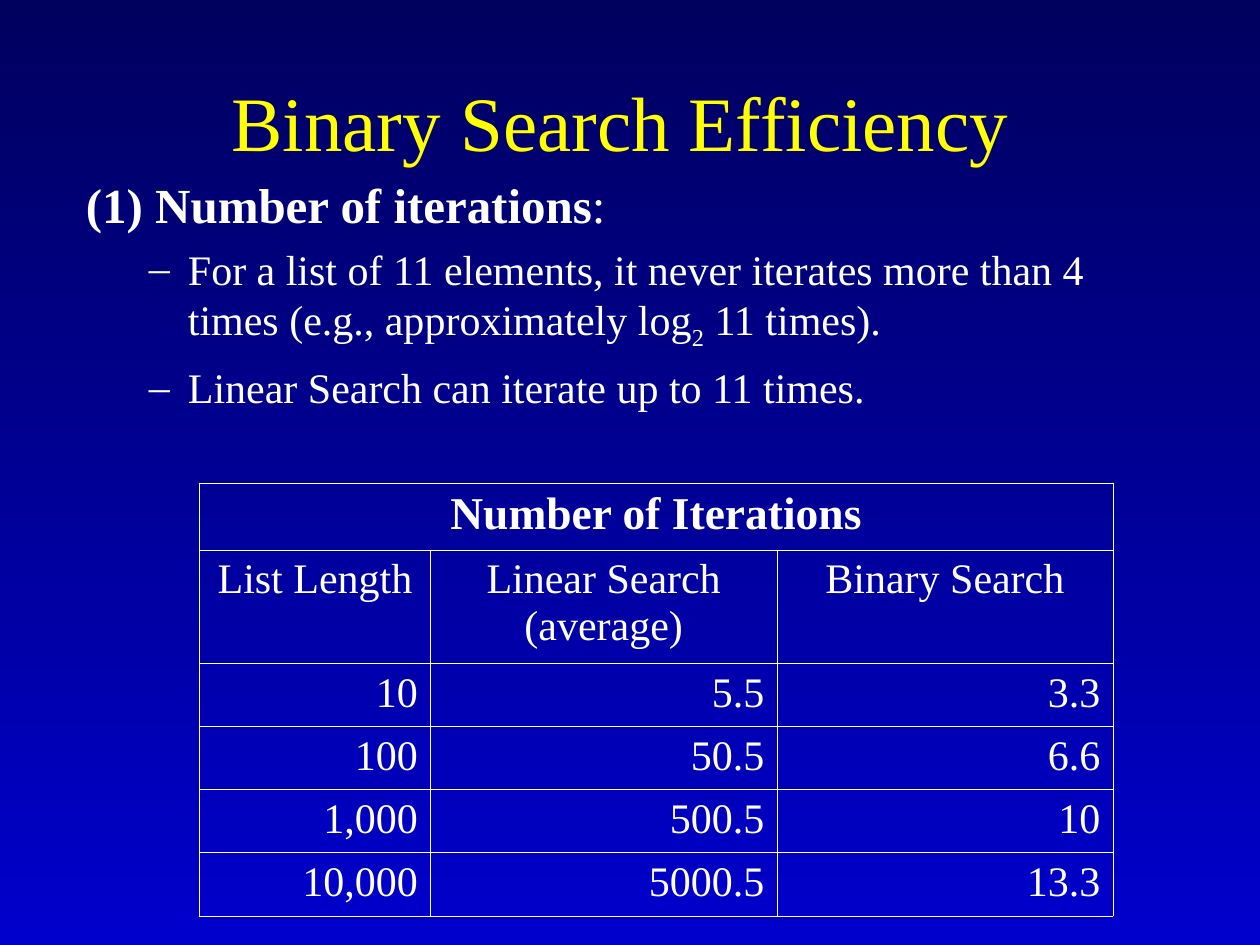
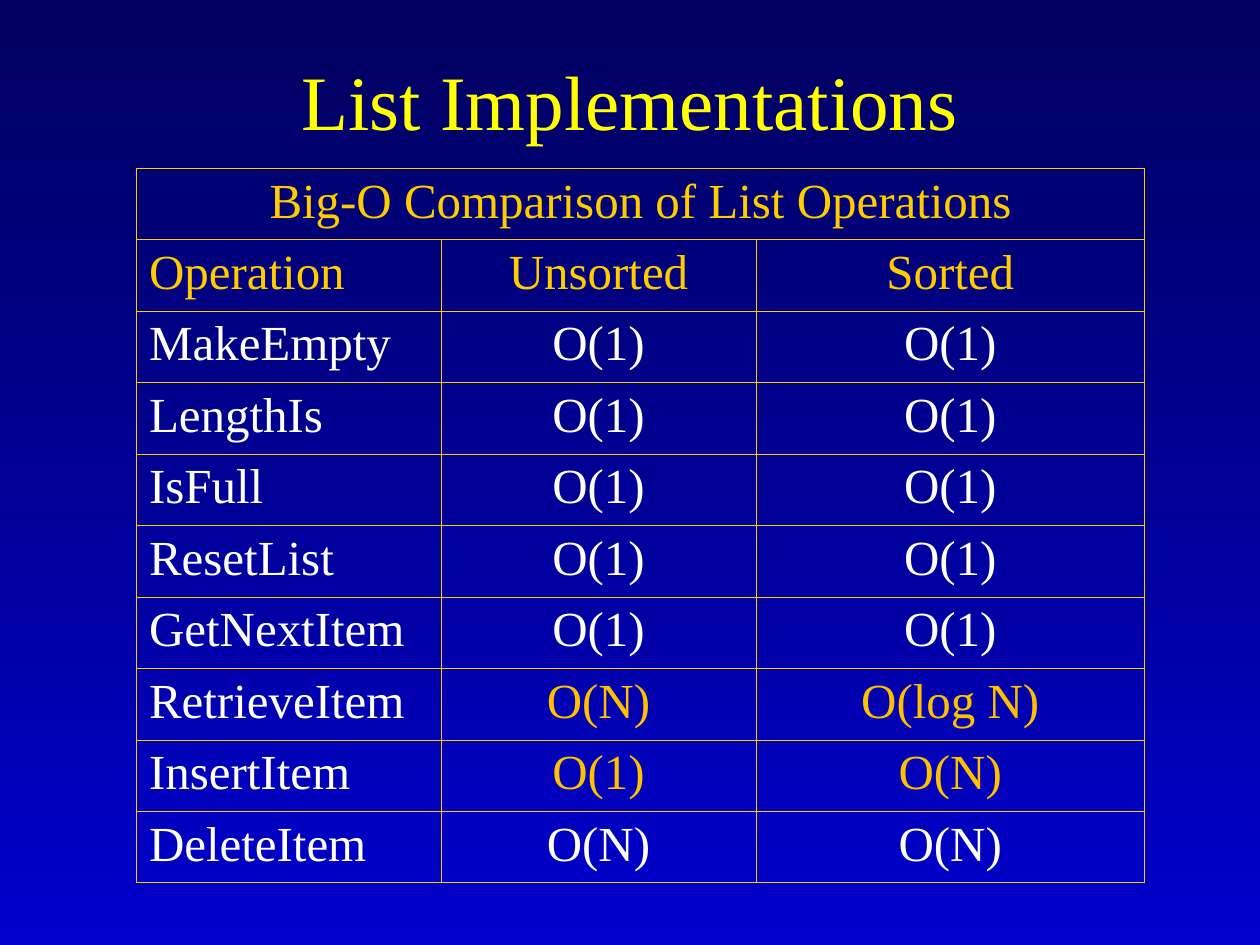
import dataclasses
import typing

import pptx
import pptx.dml.color
import pptx.enum.text
import pptx.oxml.ns
import pptx.util
from lxml import etree

ALIGN = pptx.enum.text.PP_ALIGN
MIDDLE = pptx.enum.text.MSO_ANCHOR.MIDDLE
TOP = pptx.enum.text.MSO_ANCHOR.TOP

SLIDE_WIDTH = pptx.util.Inches(10)
SLIDE_HEIGHT = pptx.util.Inches(7.5)
GRID_COLUMNS, GRID_ROWS = 120, 90

FONT = "Times New Roman"
NIGHT, ROYAL = "00005E", "0000CC"
WHITE, YELLOW, GOLD, AMBER = "FFFFFF", "FFFF00", "FFCC00", "FFC000"
BORDER_WIDTH = pptx.util.Pt(0.45)


@dataclasses.dataclass(frozen=True)
class Area:
    column: float
    row: float
    columns: float
    rows: float

    def lengths(self) -> tuple[int, int, int, int]:
        return across(self.column), down(self.row), across(self.columns), down(self.rows)


@dataclasses.dataclass(frozen=True)
class Run:
    text: str
    bold: bool = False
    baseline: int = 0


@dataclasses.dataclass(frozen=True)
class Point:
    runs: tuple[Run, ...]
    size: float = 24
    dashed: bool = True
    before: float = 6


@dataclasses.dataclass(frozen=True)
class Cell:
    text: str
    align: ALIGN = ALIGN.CENTER
    size: float = 24
    color: str = WHITE
    bold: bool = False


@dataclasses.dataclass(frozen=True)
class Grid:
    column: float
    row: float
    widths: tuple[float, ...]
    heights: tuple[float, ...]
    border: str
    heading: Cell
    body: list[list[Cell]]


def across(columns: float) -> int:
    return round(SLIDE_WIDTH * columns / GRID_COLUMNS)


def down(rows: float) -> int:
    return round(SLIDE_HEIGHT * rows / GRID_ROWS)


def rgb(value: str) -> pptx.dml.color.RGBColor:
    return pptx.dml.color.RGBColor.from_string(value)


def add_element(parent: typing.Any, tag: str, **attributes: str) -> typing.Any:
    return etree.SubElement(parent, pptx.oxml.ns.qn(tag), attributes)


def write(paragraph: typing.Any, text: str, *, size: float, color: str = WHITE,
          bold: bool = False, baseline: int = 0, align: ALIGN = ALIGN.LEFT) -> None:
    paragraph.alignment = align
    run = paragraph.add_run()
    run.text = text
    run.font.name = FONT
    run.font.size = pptx.util.Pt(size)
    run.font.bold = bold
    run.font.color.rgb = rgb(color)
    if baseline:
        run.font._element.set("baseline", str(baseline * 1000))


def add_frame(slide: typing.Any, area: Area, anchor: typing.Any) -> typing.Any:
    frame = slide.shapes.add_textbox(*area.lengths()).text_frame
    frame.word_wrap = True
    frame.vertical_anchor = anchor
    return frame


def add_title(slide: typing.Any, text: str, area: Area) -> None:
    frame = add_frame(slide, area, MIDDLE)
    write(frame.paragraphs[0], text, size=44, color=YELLOW, align=ALIGN.CENTER)


def indent(paragraph: typing.Any, left: float, hanging: float, dashed: bool) -> None:
    properties = paragraph._p.get_or_add_pPr()
    properties.set("marL", str(pptx.util.Inches(left)))
    properties.set("indent", str(-pptx.util.Inches(hanging)))
    if dashed:
        paragraph.level = 1
        add_element(add_element(properties, "a:buClr"), "a:srgbClr", val=WHITE)
        add_element(properties, "a:buFont", typeface=FONT)
        add_element(properties, "a:buChar", char="–")


def add_points(slide: typing.Any, area: Area, points: list[Point]) -> None:
    frame = add_frame(slide, area, TOP)
    for index, point in enumerate(points):
        paragraph = frame.add_paragraph() if index else frame.paragraphs[0]
        if point.dashed:
            indent(paragraph, 0.81, 0.31, True)
        else:
            indent(paragraph, 0.38, 0.38, False)
        if index:
            paragraph.space_before = pptx.util.Pt(point.before)
        for run in point.runs:
            write(paragraph, run.text, size=point.size, bold=run.bold, baseline=run.baseline)


def outline(cell: typing.Any, color: str) -> None:
    properties = cell._tc.get_or_add_tcPr()
    for side in ("a:lnL", "a:lnR", "a:lnT", "a:lnB"):
        line = add_element(properties, side, w=str(BORDER_WIDTH))
        add_element(add_element(line, "a:solidFill"), "a:srgbClr", val=color)
    cell.fill.background()


def add_grid(slide: typing.Any, grid: Grid) -> None:
    area = Area(grid.column, grid.row, sum(grid.widths), sum(grid.heights))
    table = slide.shapes.add_table(
        len(grid.heights), len(grid.widths), *area.lengths()).table
    table.first_row = table.horz_banding = False
    for column, width in zip(table.columns, grid.widths):
        column.width = across(width)
    for row, height in zip(table.rows, grid.heights):
        row.height = down(height)
    for cell in table.iter_cells():
        outline(cell, grid.border)
    table.cell(0, 0).merge(table.cell(0, len(grid.widths) - 1))
    for row_index, entries in enumerate([[grid.heading], *grid.body]):
        for column_index, entry in enumerate(entries):
            paragraph = table.cell(row_index, column_index).text_frame.paragraphs[0]
            write(paragraph, entry.text, size=entry.size, color=entry.color,
                  bold=entry.bold, align=entry.align)


def operation_row(operation: str, unsorted: str, ordered: str,
                  name_color: str = WHITE, cost_color: str = WHITE) -> list[Cell]:
    return [Cell(operation, ALIGN.LEFT, 28, name_color),
            Cell(unsorted, size=28, color=cost_color),
            Cell(ordered, size=28, color=cost_color)]


def build_efficiency(slide: typing.Any) -> None:
    add_title(slide, "Binary Search Efficiency ", Area(9, 8, 102, 7))
    add_points(slide, Area(7, 16, 106, 32), [
        Point((Run("(1) Number of iterations", bold=True), Run(":")), size=28, dashed=False),
        Point((Run("For a list of 11 elements, it never iterates more than 4 times "
                   "(e.g., approximately log"),
               Run("2", baseline=-25), Run(" 11 times)."))),
        Point((Run("Linear Search can iterate up to 11 times."),)),
    ])
    labels = ["List Length", "Linear Search (average)", "Binary Search"]
    counts = [
        ("10", "5.5", "3.3"),
        ("100", "50.5", "6.6"),
        ("1,000", "500.5", "10"),
        ("10,000", "5000.5", "13.3"),
    ]
    add_grid(slide, Grid(
        19, 46, (22, 33, 32), (6.4, 10.8) + (6,) * len(counts), WHITE,
        Cell("Number of Iterations", size=26, bold=True),
        [[Cell(label) for label in labels]]
        + [[Cell(count, ALIGN.RIGHT) for count in row] for row in counts]))


def build_implementations(slide: typing.Any) -> None:
    add_title(slide, "List Implementations", Area(9, 5, 102, 9))
    constant_time = ["MakeEmpty", "LengthIs", "IsFull", "ResetList", "GetNextItem"]
    body = [
        operation_row("Operation", "Unsorted", "Sorted", GOLD, GOLD),
        *(operation_row(name, "O(1)", "O(1)") for name in constant_time),
        operation_row("RetrieveItem", "O(N)", "O(log N)", cost_color=AMBER),
        operation_row("InsertItem", "O(1)", "O(N)", cost_color=AMBER),
        operation_row("DeleteItem", "O(N)", "O(N)"),
    ]
    add_grid(slide, Grid(
        13, 16, (29, 30, 37), (6.8,) * (len(body) + 1), GOLD,
        Cell("Big-O Comparison of List Operations", size=28, color=GOLD), body))


def paint_background(master: typing.Any) -> None:
    fill = master.background.fill
    fill.gradient()
    fill.gradient_angle = 270
    for stop, position, color in zip(fill.gradient_stops, (0, 1), (NIGHT, ROYAL)):
        stop.position = position
        stop.color.rgb = rgb(color)


def main() -> None:
    presentation = pptx.Presentation()
    presentation.slide_width = SLIDE_WIDTH
    presentation.slide_height = SLIDE_HEIGHT
    paint_background(presentation.slide_master)
    blank = presentation.slide_layouts[6]
    for build in (build_efficiency, build_implementations):
        build(presentation.slides.add_slide(blank))
    presentation.save("out.pptx")


if __name__ == "__main__":
    main()
